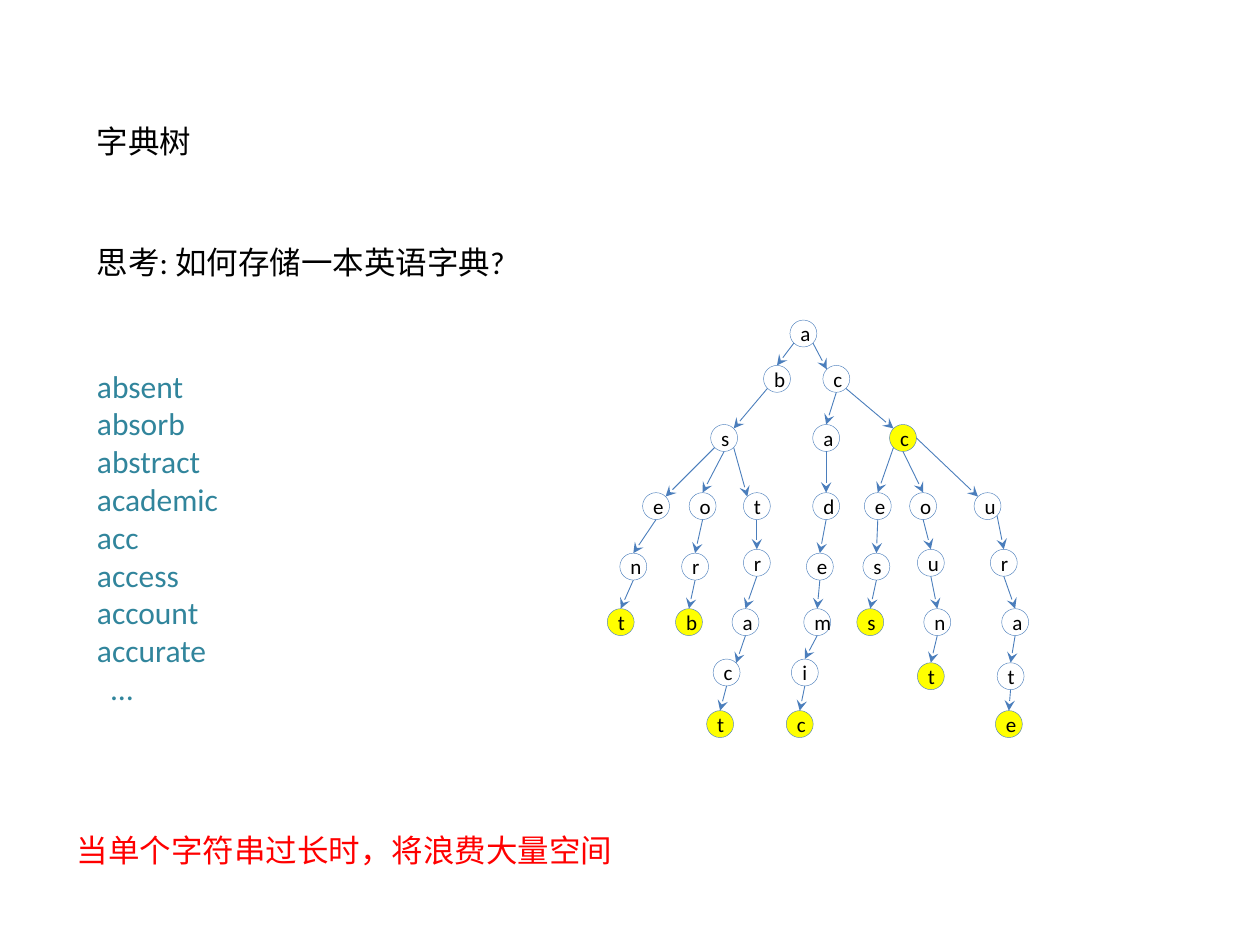
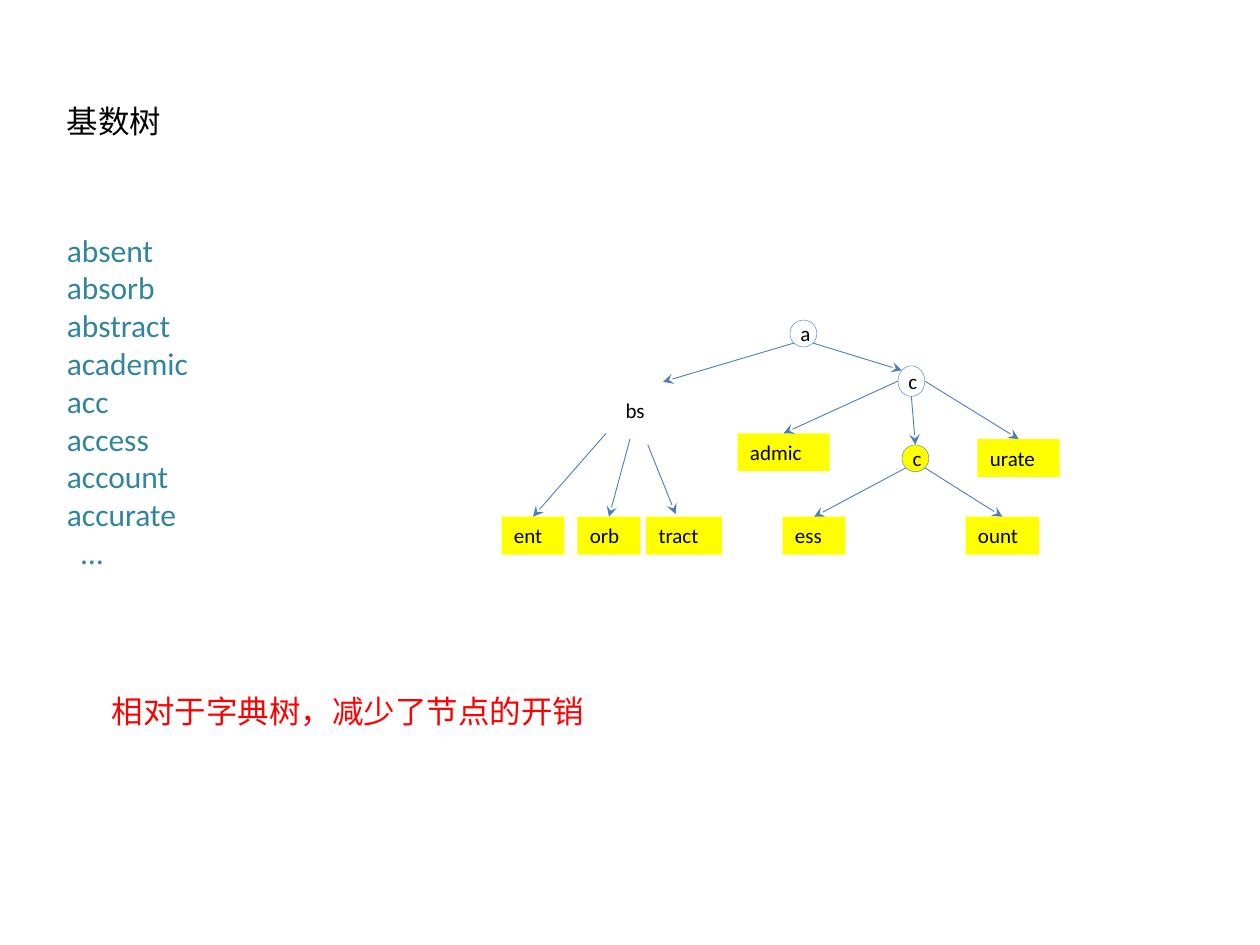
from dataclasses import dataclass
from math import sqrt

from lxml import etree
from pptx import Presentation
from pptx.dml.color import RGBColor
from pptx.enum.shapes import MSO_CONNECTOR, MSO_SHAPE
from pptx.enum.text import MSO_ANCHOR, MSO_AUTO_SIZE, PP_ALIGN
from pptx.oxml.ns import qn
from pptx.util import Pt

ELLIPSE = MSO_SHAPE.OVAL
STRAIGHT = MSO_CONNECTOR.STRAIGHT
LEFT, CENTER = PP_ALIGN.LEFT, PP_ALIGN.CENTER
ANCHOR_TOP = MSO_ANCHOR.TOP
FIXED_SIZE = MSO_AUTO_SIZE.NONE


@dataclass(frozen=True)
class Theme:
    font: str = "Calibri"
    text_size: float = 18
    node_size: float = 12
    black: str = "000000"
    teal: str = "31859C"
    red: str = "FF0000"
    white: str = "FFFFFF"
    yellow: str = "FFFF00"
    outline: str = "4F81BD"
    arrow: str = "4B7EBC"
    outline_width: float = 0.25
    arrow_width: float = 0.5


THEME = Theme()
NODE = 15.4
LINE_HEIGHT = 28.8
LABEL_HEIGHT = 21.7
ELLIPSIS_INDENT = 8.1

DIAGONAL = sqrt(0.5)
TOP, BOTTOM, WEST, EAST = (0, -1), (0, 1), (-1, 0), (1, 0)
TOP_LEFT, TOP_RIGHT = (-DIAGONAL, -DIAGONAL), (DIAGONAL, -DIAGONAL)
BOTTOM_LEFT, BOTTOM_RIGHT = (-DIAGONAL, DIAGONAL), (DIAGONAL, DIAGONAL)

WORDS = ["absent", "absorb", "abstract", "academic",
         "acc", "access", "account", "accurate"]

ROOT = (459.1, 190.6)
LEVEL_Y = [ROOT[1], 216.5, 250.3, 289.2, 323.8, 355.5, 384.3, 413.8]
LEVEL_SHIFT = {"abstr": -2.2, "accou": -2.2, "accur": -2.2,
               "account": 2.1, "accurat": 2.1}
PREFIX_X = {
    "a": ROOT[0], "ab": 444, "ac": 477.9,
    "abs": 413.8, "aca": 472.1, "acc": 516,
    "abse": 374.9, "absen": 361.9, "absent": 354.7,
    "abso": 401.5, "absor": 397.2, "absorb": 393.7,
    "abst": 432.5, "abstr": 432.5, "abstra": 426, "abstrac": 415.2,
    "abstract": 411.5,
    "acad": 472.1, "acade": 468.5, "academ": 467, "academi": 459.9,
    "academic": 457,
    "acce": 501.6, "acces": 500.8, "access": 497.3,
    "acco": 527.5, "accou": 531.9, "accoun": 535.6, "account": 531.9,
    "accu": 564.3, "accur": 573.6, "accura": 580.1, "accurat": 577.5,
    "accurate": 576.5,
}
BRANCH_SITES = {
    "ab": (BOTTOM_LEFT, TOP), "ac": (BOTTOM_RIGHT, TOP_LEFT),
    "abs": (BOTTOM_LEFT, TOP_RIGHT), "acc": (BOTTOM_RIGHT, TOP_LEFT),
    "abse": (BOTTOM_LEFT, TOP_RIGHT), "abst": (BOTTOM_RIGHT, TOP_LEFT),
    "acce": (BOTTOM_LEFT, TOP), "accu": (EAST, TOP_LEFT),
    "accur": (BOTTOM_RIGHT, TOP), "abstrac": (BOTTOM, TOP_RIGHT),
}

LEAF_TOP = 295.3
SUFFIX_LABELS = {
    "ent": (286.6, LEAF_TOP, 36), "orb": (330, LEAF_TOP, 36),
    "tract": (369.2, LEAF_TOP, 43.5), "admic": (421.5, 247.6, 52.6),
    "urate": (558.6, 250.9, 47), "ess": (447.2, LEAF_TOP, 36),
    "ount": (551.8, LEAF_TOP, 42),
}


def color(value):
    return RGBColor.from_string(value)


def apply(target, values):
    for name, value in values.items():
        setattr(target, name, value)


def place(shape, left, top, width, height):
    apply(shape, {"left": Pt(left), "top": Pt(top),
                  "width": Pt(width), "height": Pt(height)})


def write(para, text, size, ink, align=LEFT):
    para.alignment = align
    span = para.add_run()
    span.text = text
    apply(span.font, {"name": THEME.font, "size": Pt(size)})
    span.font.color.rgb = color(ink)


def paint(shape, fill):
    if fill:
        shape.fill.solid()
        shape.fill.fore_color.rgb = color(fill)
    else:
        shape.fill.background()


def fill_title(page, text, left, top, width):
    title = page.shapes.title
    place(title, left, top, width, LINE_HEIGHT)
    apply(title.text_frame, {"vertical_anchor": ANCHOR_TOP, "word_wrap": True,
                             "auto_size": FIXED_SIZE})
    write(title.text_frame.paragraphs[0], text, THEME.text_size, THEME.black)


def fill_word_list(page, left, top):
    body = page.placeholders[1]
    place(body, left, top, 90.7, 203.8)
    frame = body.text_frame
    apply(frame, {"vertical_anchor": ANCHOR_TOP, "word_wrap": True,
                  "auto_size": FIXED_SIZE})
    for index, word in enumerate(WORDS + ["…"]):
        para = frame.add_paragraph() if index else frame.paragraphs[0]
        para.space_before = Pt(0)
        properties = para._p.get_or_add_pPr()
        indent = ELLIPSIS_INDENT if word == "…" else 0
        properties.set("marL", str(int(Pt(indent))))
        properties.set("indent", "0")
        etree.SubElement(properties, qn("a:buNone"))
        write(para, word, THEME.text_size, THEME.teal)


def add_label(page, text, left, top, width, height=LINE_HEIGHT,
              size=THEME.text_size, ink=THEME.black, fill=None):
    box = page.shapes.add_textbox(Pt(left), Pt(top), Pt(width), Pt(height))
    box.text_frame.word_wrap = True
    paint(box, fill)
    write(box.text_frame.paragraphs[0], text, size, ink)
    return box


def add_node(page, letter, center, fill=THEME.white, height=NODE):
    node = page.shapes.add_shape(
        ELLIPSE, Pt(center[0] - NODE / 2), Pt(center[1] - height / 2),
        Pt(NODE), Pt(height))
    node.shadow.inherit = False
    paint(node, fill)
    node.line.color.rgb = color(THEME.outline)
    node.line.width = Pt(THEME.outline_width)
    write(node.text_frame.paragraphs[0], letter, THEME.node_size,
          THEME.black, CENTER)
    return node


def site(shape, direction):
    across, down = direction
    return (int(shape.left + shape.width * (1 + across) / 2),
            int(shape.top + shape.height * (1 + down) / 2))


def point(x, y):
    return Pt(x), Pt(y)


def add_arrow(page, start, end):
    arrow = page.shapes.add_connector(STRAIGHT, *start, *end)
    arrow.line.color.rgb = color(THEME.arrow)
    arrow.line.width = Pt(THEME.arrow_width)
    etree.SubElement(arrow.line._get_or_add_ln(), qn("a:tailEnd"),
                     type="stealth")
    etree.SubElement(arrow._element.spPr, qn("a:effectLst"))


def draw_trie(page):
    nodes = {}
    for prefix, x in PREFIX_X.items():
        y = LEVEL_Y[len(prefix) - 1] + LEVEL_SHIFT.get(prefix, 0)
        fill = THEME.yellow if prefix in WORDS else THEME.white
        nodes[prefix] = add_node(page, prefix[-1], (x, y), fill)
    for prefix, node in nodes.items():
        parent = nodes.get(prefix[:-1])
        if parent is not None:
            leave, arrive = BRANCH_SITES.get(prefix, (BOTTOM, TOP))
            add_arrow(page, site(parent, leave), site(node, arrive))


def draw_radix_tree(page):
    root = add_node(page, "a", ROOT)
    branch = add_node(page, "c", (520.8, 217.8), None, 17.5)
    word_end = add_node(page, "c", (523.1, 261.9), THEME.yellow)
    labels = {
        text: add_label(page, text, left, top, width, LABEL_HEIGHT,
                        THEME.node_size, fill=THEME.yellow)
        for text, (left, top, width) in SUFFIX_LABELS.items()
    }
    add_label(page, "bs", 350.4, 223.7, 31, LABEL_HEIGHT, THEME.node_size)

    for parent, leave, child, arrive in [
        (root, BOTTOM_RIGHT, branch, TOP_LEFT),
        (branch, WEST, labels["admic"], TOP),
        (branch, BOTTOM, word_end, TOP),
        (branch, EAST, labels["urate"], TOP),
        (word_end, BOTTOM_LEFT, labels["ess"], TOP),
        (word_end, BOTTOM_RIGHT, labels["ount"], TOP),
    ]:
        add_arrow(page, site(parent, leave), site(child, arrive))

    add_arrow(page, site(root, BOTTOM_LEFT), point(378.9, 218.2))
    add_arrow(page, point(346.3, 247.7), site(labels["ent"], TOP))
    add_arrow(page, point(360, 250.9), site(labels["orb"], TOP))
    add_arrow(page, point(370.2, 254.2), point(386.1, 293.8))


def build_trie_page(deck):
    page = deck.slides.add_slide(deck.slide_layouts[1])
    fill_title(page, "字典树", 48.2, 66.2, 136)
    add_label(page, "思考: 如何存储一本英语字典?", 48.2, 135.4, 340)
    fill_word_list(page, 48.2, 205.9)
    add_label(page, "当单个字符串过长时，将浪费大量空间", 36.9, 471.6, 340,
              ink=THEME.red, fill=THEME.white)
    draw_trie(page)


def build_radix_page(deck):
    page = deck.slides.add_slide(deck.slide_layouts[1])
    fill_title(page, "基数树", 31, 54.7, 108)
    fill_word_list(page, 31, 128.2)
    draw_radix_tree(page)
    add_label(page, "相对于字典树，减少了节点的开销", 56.9, 391.7, 286,
              ink=THEME.red)


def main():
    deck = Presentation()
    apply(deck, {"slide_width": Pt(720), "slide_height": Pt(540)})
    build_trie_page(deck)
    build_radix_page(deck)
    deck.save("out.pptx")


main()
